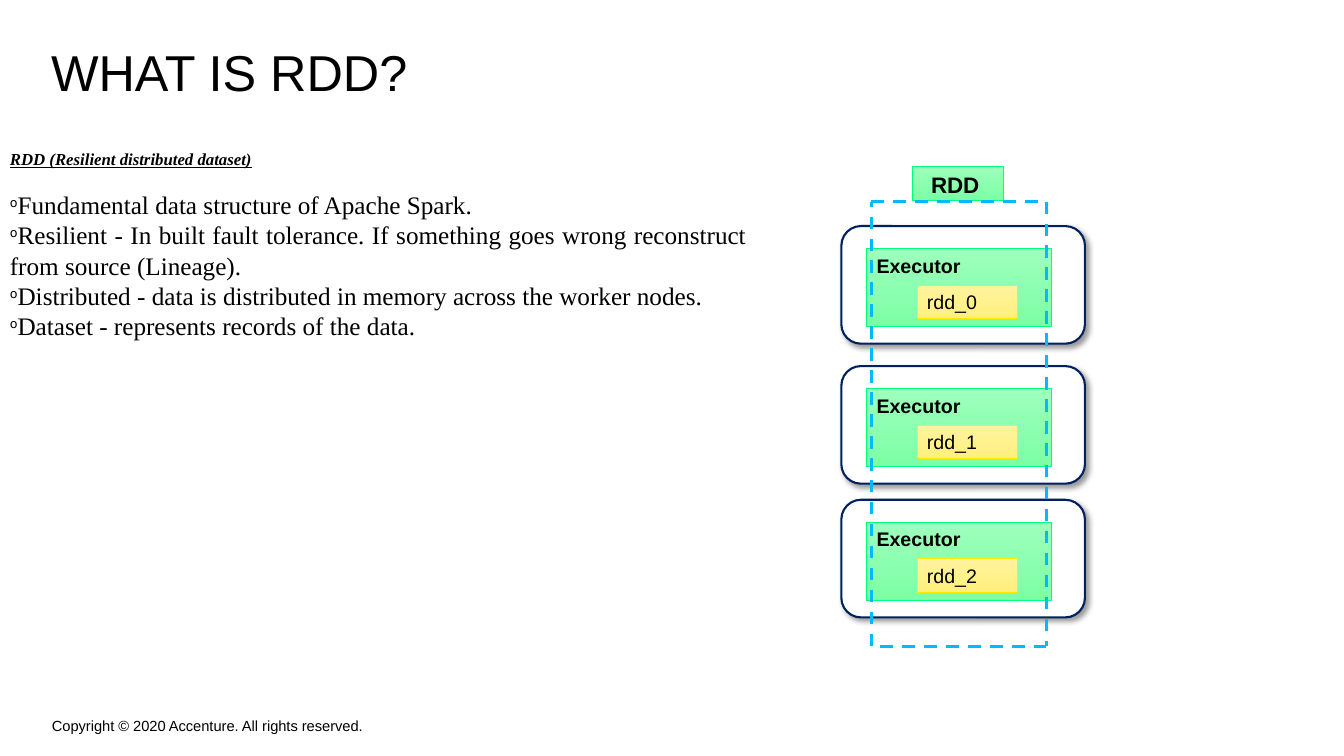
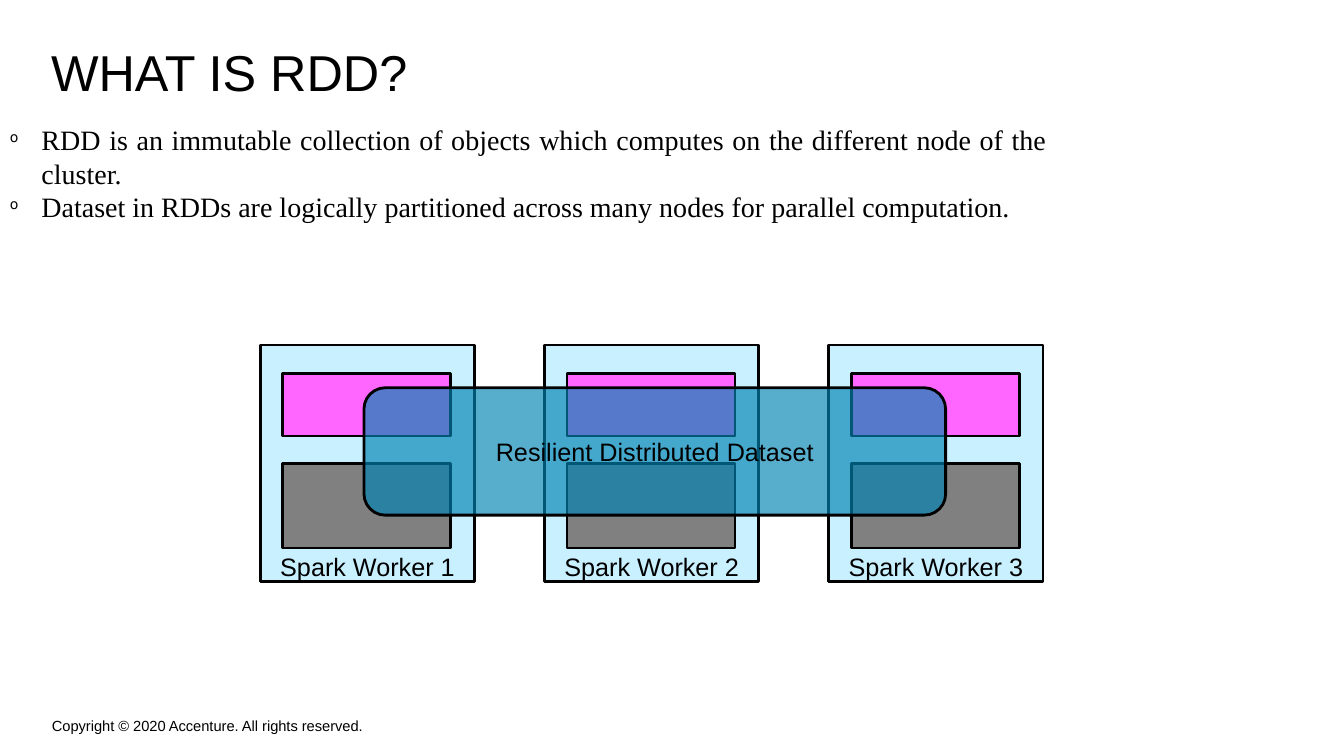
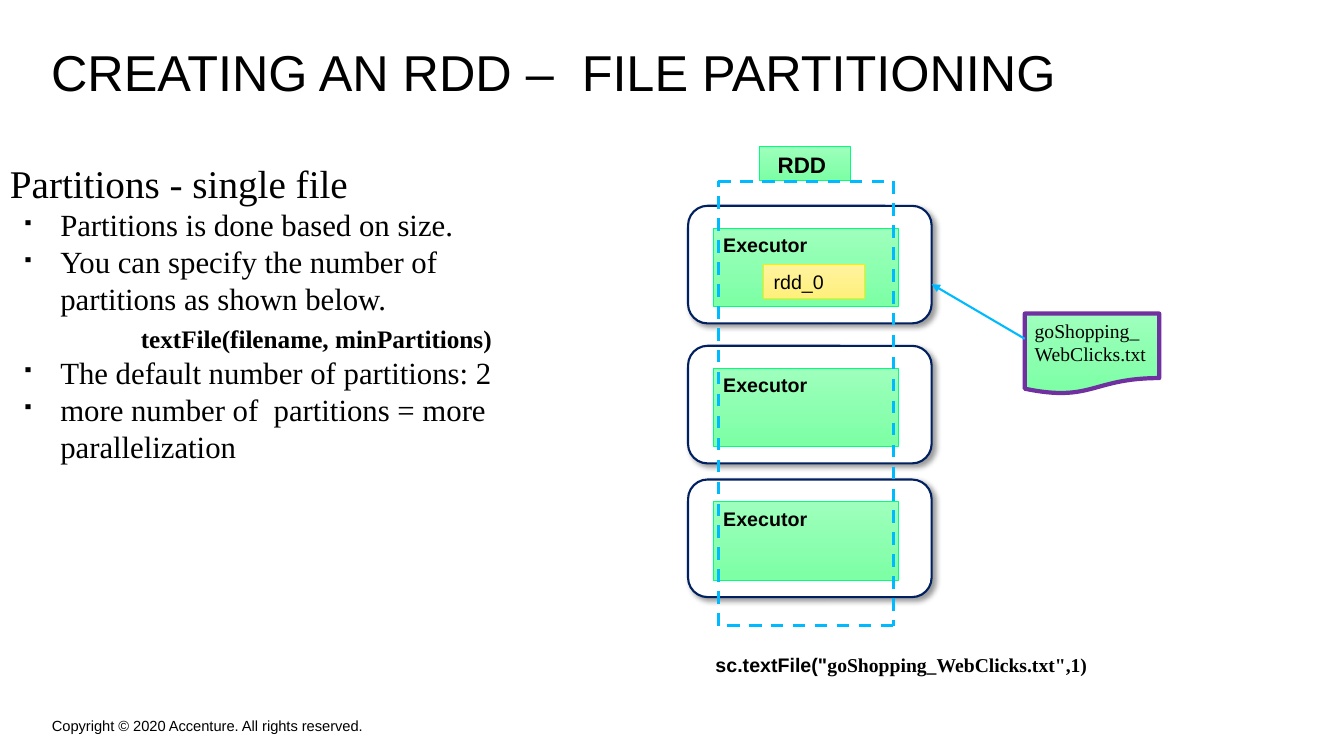
from typing import NamedTuple, Optional

from lxml.etree import SubElement
from pptx import Presentation
from pptx.dml.color import RGBColor
from pptx.enum.dml import MSO_LINE
from pptx.enum.shapes import MSO_CONNECTOR, MSO_SHAPE
from pptx.enum.text import MSO_ANCHOR, PP_ALIGN
from pptx.oxml.ns import qn
from pptx.util import Pt

COLORS = {
    "black": "000000", "white": "FFFFFF", "navy": "002060", "sky": "00BAFF",
    "green_light": "9EFFBC", "green_dark": "7CFFA5", "green_edge": "00FF7D",
    "yellow_light": "FFF39E", "yellow_dark": "FFEF7C", "yellow_edge": "FFEA00",
    "purple": "7030A0", "worker": "C9F0FF", "pink": "FF66FF", "gray": "808080",
    "dataset": "0083B3",
}
GREEN = ("green_light", "green_dark")
YELLOW = ("yellow_light", "yellow_dark")
SANS, SERIF = "Arial", "Times New Roman"
LINE_PITCH = 1.2
EXECUTOR_TOPS = (0, 100, 195.5)


class Box(NamedTuple):
    left: float
    top: float
    width: float
    height: float


class Span(NamedTuple):
    text: str
    size: float
    font: str = SANS
    bold: bool = False
    accent: bool = False


class Item(NamedTuple):
    """A body paragraph with its indents and optional bullet."""
    span: Span
    left: float = 0
    hanging: float = 0
    bullet: Optional[str] = None
    after: float = 0
    line: float = 0


def rgb(name: str) -> RGBColor:
    return RGBColor.from_string(COLORS[name])


def place(box: Box) -> list:
    return [Pt(value) for value in box]


def style_run(run, span: Span) -> None:
    font = run.font
    font.name, font.size, font.bold = span.font, Pt(span.size), span.bold
    font.color.rgb = rgb("black")
    if span.accent:
        font.italic = font.underline = True


def write(shape, *spans: Span, align=PP_ALIGN.LEFT) -> None:
    """Fill the first paragraph with one run per span."""
    paragraph = shape.text_frame.paragraphs[0]
    paragraph.alignment = align
    for span in spans:
        run = paragraph.add_run()
        run.text = span.text
        style_run(run, span)


def add_text(slide, box: Box, *spans: Span, wrap: bool = True):
    text_box = slide.shapes.add_textbox(*place(box))
    text_box.text_frame.word_wrap = wrap
    write(text_box, *spans)
    return text_box


def add_block(slide, kind, box: Box, fill, edge: str, edge_width: float):
    """Draw a shape; a pair of colour names gives a vertical gradient."""
    block = slide.shapes.add_shape(kind, *place(box))
    block.shadow.inherit = False
    if isinstance(fill, tuple):
        block.fill.gradient()
        block.fill.gradient_angle = 270
        for stop, name in zip(block.fill.gradient_stops, fill):
            stop.color.rgb = rgb(name)
    else:
        block.fill.solid()
        block.fill.fore_color.rgb = rgb(fill)
    block.line.color.rgb = rgb(edge)
    block.line.width = Pt(edge_width)
    block.text_frame.word_wrap = True
    block.text_frame.vertical_anchor = MSO_ANCHOR.TOP
    return block


def add_alpha(color, percent: int) -> None:
    SubElement(color, qn("a:alpha"), val=str(percent * 1000))


def cast_shadow(block) -> None:
    effects = block._element.spPr.find(qn("a:effectLst"))
    shadow = SubElement(effects, qn("a:outerShdw"), blurRad=str(Pt(4)), dist=str(Pt(3)),
                        dir="2700000", algn="tl", rotWithShape="0")
    add_alpha(SubElement(shadow, qn("a:srgbClr"), val=COLORS["black"]), 40)


def add_line(slide, start: tuple, end: tuple, width: float):
    line = slide.shapes.add_connector(
        MSO_CONNECTOR.STRAIGHT, *(Pt(value) for value in start + end))
    line.line.color.rgb = rgb("sky")
    line.line.width = Pt(width)
    SubElement(line._element.spPr, qn("a:effectLst"))
    return line


def add_body(slide, box: Box, items: list, align=PP_ALIGN.LEFT) -> None:
    frame = slide.shapes.add_textbox(*place(box)).text_frame
    frame.word_wrap = True
    for index, item in enumerate(items):
        paragraph = frame.add_paragraph() if index else frame.paragraphs[0]
        paragraph.text = item.span.text
        paragraph.alignment = align
        paragraph.line_spacing = Pt(item.line or round(item.span.size * LINE_PITCH, 2))
        paragraph.space_after = Pt(item.after)
        properties = paragraph._p.get_or_add_pPr()
        properties.set("marL", str(Pt(item.left)))
        properties.set("indent", str(Pt(-item.hanging)))
        if item.bullet:
            SubElement(properties, qn("a:buSzPct"), val="50000")
            SubElement(properties, qn("a:buChar"), char=item.bullet)
        style_run(paragraph.runs[0], item.span)


def add_slide(deck, title: str):
    """Start a slide with the shared title and copyright line."""
    slide = deck.slides.add_slide(deck.slide_layouts[6])
    heading = add_text(slide, Box(36.5, 30, 894, 42), Span(title, 36)).text_frame
    heading.margin_left = heading.margin_right = 0
    heading.margin_top = heading.margin_bottom = 0
    heading.vertical_anchor = MSO_ANCHOR.MIDDLE
    add_text(slide, Box(30, 508.3, 242, 19.5),
             Span("Copyright © 2020 Accenture. All rights reserved.", 10.5), wrap=False)
    return slide


def add_cluster(slide, left: float, top: float, partitions: int) -> None:
    """Draw three executors, the first ones holding a partition, in a dashed RDD frame."""
    tag = add_block(slide, MSO_SHAPE.RECTANGLE, Box(left + 51, top - 42.5, 65, 24),
                    GREEN, "green_edge", 0.5)
    write(tag, Span("RDD ", 16, bold=True), align=PP_ALIGN.CENTER)
    for index, offset in enumerate(EXECUTOR_TOPS):
        y = top + offset
        node = add_block(slide, MSO_SHAPE.ROUNDED_RECTANGLE, Box(left, y, 174, 84),
                         "white", "navy", 1.5)
        cast_shadow(node)
        executor = add_block(slide, MSO_SHAPE.RECTANGLE, Box(left + 18, y + 16, 132, 56),
                             GREEN, "green_edge", 0.5)
        write(executor, Span("Executor", 14, bold=True))
        if index < partitions:
            partition = add_block(slide, MSO_SHAPE.RECTANGLE,
                                  Box(left + 54, y + 42, 72, 24),
                                  YELLOW, "yellow_edge", 0.5)
            write(partition, Span(f"rdd_{index}", 14))
    x1, x2, y1, y2 = left + 21.5, left + 146.5, top - 17.5, top + 300
    corners = [(x1, y1), (x2, y1), (x2, y2), (x1, y2)]
    for start, end in zip(corners, corners[1:] + corners[:1]):
        add_line(slide, start, end, 2.25).line.dash_style = MSO_LINE.DASH


def build_definition(deck) -> None:
    slide = add_slide(deck, "WHAT IS RDD?")
    points = (
        "Fundamental data structure of Apache Spark.",
        "Resilient - In built fault tolerance. If something goes wrong reconstruct "
        "from source (Lineage).",
        "Distributed - data is distributed in memory across the worker nodes.",
        "Dataset - represents records of the data.",
    )
    lead = Span("RDD (Resilient distributed dataset)", 12, SERIF, bold=True, accent=True)
    items = [Item(lead, after=14.4)]
    items += [Item(Span(point, 18, SERIF), bullet="o") for point in points]
    add_body(slide, Box(0, 103, 540.5, 379), items, PP_ALIGN.JUSTIFY)
    add_cluster(slide, 601, 161.5, partitions=3)


def build_workers(deck) -> None:
    slide = add_slide(deck, "WHAT IS RDD?")
    points = (
        "RDD is an immutable collection of objects which computes on the different "
        "node of the cluster.",
        "Dataset in RDDs are logically partitioned across many nodes for parallel "
        "computation.",
    )
    items = [Item(Span(point, 20, SERIF), 22.5, 22.5, "o") for point in points]
    add_body(slide, Box(0, 84, 755, 396), items, PP_ALIGN.JUSTIFY)

    top = 246.5
    for index in range(3):
        left = 186 + 203 * index
        worker = add_block(slide, MSO_SHAPE.RECTANGLE, Box(left, top, 153, 169),
                           "worker", "black", 2)
        worker.text_frame.vertical_anchor = MSO_ANCHOR.BOTTOM
        worker.text_frame.margin_bottom = 0
        write(worker, Span(f"Spark Worker {index + 1}", 18), align=PP_ALIGN.CENTER)
        for offset, height, color in ((20.5, 44.5, "pink"), (84.5, 60.5, "gray")):
            add_block(slide, MSO_SHAPE.RECTANGLE,
                      Box(left + 16, top + offset, 120, height), color, "black", 2)
    dataset = add_block(slide, MSO_SHAPE.ROUNDED_RECTANGLE, Box(260, 277, 415.5, 91),
                        "dataset", "black", 2)
    add_alpha(dataset._element.spPr.find(qn("a:solidFill"))[0], 66)
    dataset.text_frame.vertical_anchor = MSO_ANCHOR.MIDDLE
    write(dataset, Span("Resilient Distributed Dataset", 18), align=PP_ALIGN.CENTER)


def build_partitioning(deck) -> None:
    slide = add_slide(deck, "CREATING AN RDD –  FILE PARTITIONING")
    points = (
        "Partitions is done based on size.",
        "You can specify the number of partitions as shown below.",
        "The default number of partitions: 2",
        "more number of  partitions = more parallelization",
    )
    bullets = [Item(Span(point, 22, SERIF), 36, 27, "▪") for point in points]
    call = Item(Span("textFile(filename, minPartitions)", 18, SERIF, bold=True),
                left=93.5, line=26.4)
    lead = Item(Span("Partitions - single file", 28, SERIF))
    add_body(slide, Box(0, 110, 360, 388), [lead, *bullets[:2], call, *bullets[2:]])

    add_cluster(slide, 491.5, 147, partitions=1)
    file = add_block(slide, MSO_SHAPE.FLOWCHART_DOCUMENT, Box(732, 224, 96, 57.5),
                     GREEN, "purple", 3)
    write(file, Span("goShopping_WebClicks.txt", 14, SERIF))
    arrow = add_line(slide, (732, 242), (665.5, 203), 1.5)
    SubElement(arrow.line._get_or_add_ln(), qn("a:tailEnd"), type="triangle")
    add_text(slide, Box(504, 463, 288, 29), Span('sc.textFile("', 14, bold=True),
             Span('goShopping_WebClicks.txt",1)', 14, SERIF, bold=True))


def main() -> None:
    deck = Presentation()
    deck.slide_width, deck.slide_height = Pt(960), Pt(540)
    build_definition(deck)
    build_workers(deck)
    build_partitioning(deck)
    deck.save("out.pptx")


if __name__ == "__main__":
    main()
